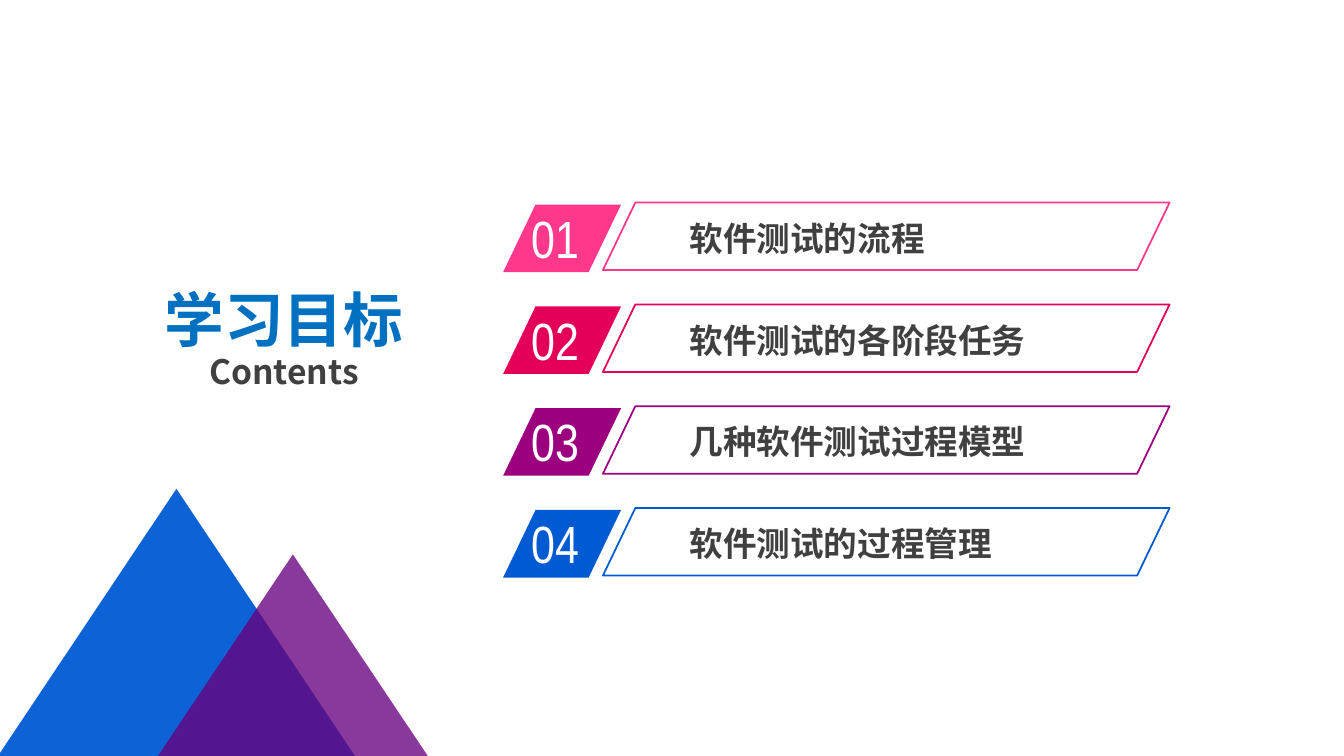
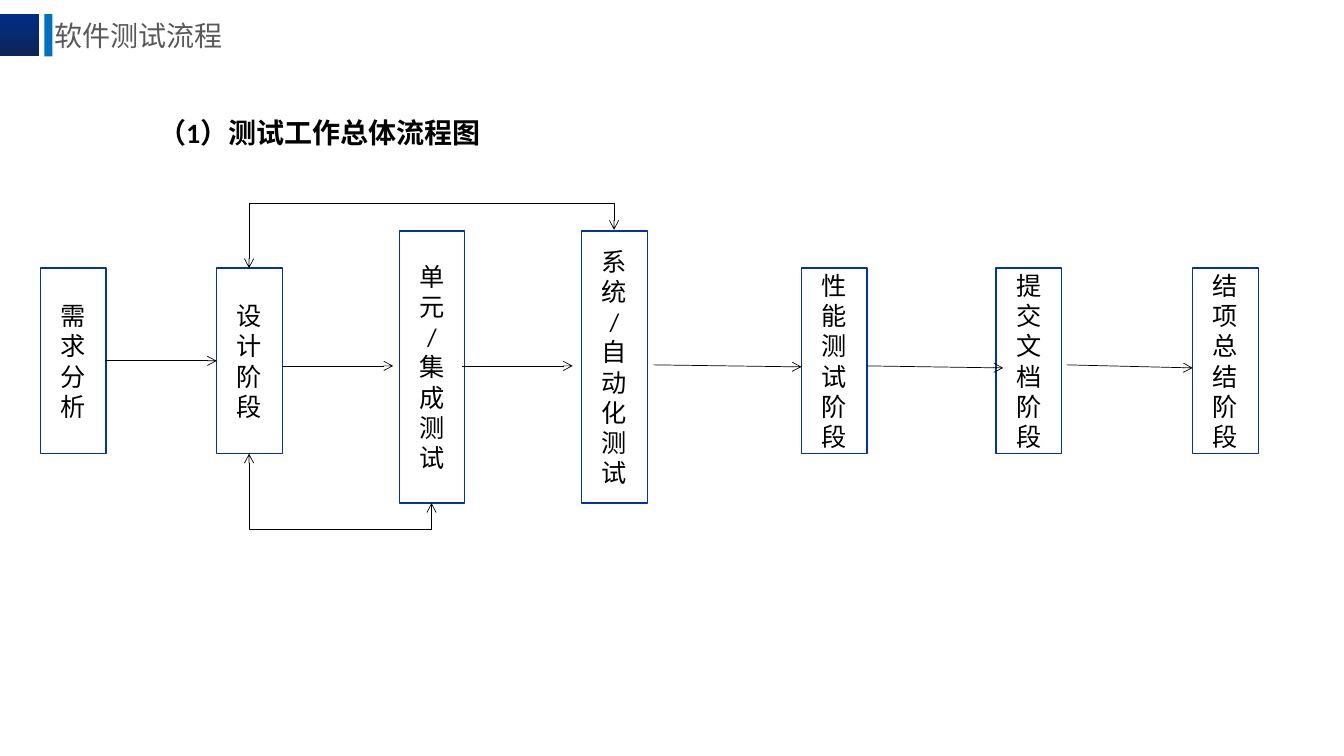
from lxml import etree
from pptx import Presentation
from pptx import util as u
from pptx.dml.color import RGBColor
from pptx.enum import shapes, text
from pptx.oxml.ns import qn


class Theme:
    cjk, latin, narrow = "Noto Sans CJK SC", "Calibri", "Arial Narrow"
    white, black, dark, grey = "FFFFFF", "000000", "404040", "595959"
    sky, blue, plum, edge = "0070C0", "005BD3", "68007F", "00349E"
    fade = ["012D86", "0E2557"]
    rows = ["FF388C", "E40059", "9C007F", blue]
    hero, digit, item, head, step = 42.6, 37.4, 24, 20, 18
    frame, rule, thin = 1.25, 1, 0.5


def write(frame, words, font=Theme.cjk, size=Theme.item, color=Theme.dark,
          bold=False, align="LEFT", gap=1.0):
    frame.word_wrap = True
    frame.auto_size = text.MSO_AUTO_SIZE.NONE
    frame.vertical_anchor = text.MSO_ANCHOR.MIDDLE
    frame.text = words
    for para in frame.paragraphs:
        para.alignment = text.PP_ALIGN[align]
        para.line_spacing = gap
        para.space_before = u.Pt(0)
        for run in para.runs:
            run.font.name = font
            run.font.size = u.Pt(size)
            run.font.bold = bold
            run.font.color.rgb = RGBColor.from_string(color)
            props = run._r.get_or_add_rPr()
            etree.SubElement(props, qn("a:ea"), typeface=font)


def draw(slide, kind, box, fill=None, line=None, width=Theme.rule, alpha=100):
    shape = slide.shapes.add_shape(shapes.MSO_SHAPE[kind], *map(u.Inches, box))
    shape.shadow.inherit = False
    if fill:
        shape.fill.solid()
        shape.fill.fore_color.rgb = RGBColor.from_string(fill)
    else:
        shape.fill.background()
    if alpha < 100:
        tint = shape._element.spPr.find(".//" + qn("a:srgbClr"))
        etree.SubElement(tint, qn("a:alpha"), val=str(alpha * 1000))
    if line:
        shape.line.color.rgb = RGBColor.from_string(line)
        shape.line.width = u.Pt(width)
    else:
        shape.line.fill.background()
    return shape


deck = Presentation()
deck.slide_width, deck.slide_height = u.Inches(13.33), u.Inches(7.5)
goals, flow = [deck.slides.add_slide(deck.slide_layouts[5]) for _ in range(2)]

titles = [
    (goals, (1.17, 3.03, 3.29, 0.72), "学习目标\nContents",
     dict(size=Theme.hero, color=Theme.sky, bold=True, align="CENTER", gap=0.9)),
    (flow, (0.44, 0.05, 3.26, 0.61), "软件测试流程",
     dict(size=Theme.head, color=Theme.grey)),
]
for slide, box, words, look in titles:
    title = slide.shapes.title
    title.left, title.top, title.width, title.height = map(u.Inches, box)
    write(title.text_frame, words, **look)

sub = goals.shapes.title.text_frame.paragraphs[1].runs[0].font
sub.size = u.Pt(Theme.item)
sub.color.rgb = RGBColor.from_string(Theme.dark)

items = ["软件测试的流程", "软件测试的各阶段任务", "几种软件测试过程模型", "软件测试的过程管理"]
for row, (words, color) in enumerate(zip(items, Theme.rows)):
    top = 2.03 + 1.01 * row
    tag = draw(goals, "PARALLELOGRAM", (4.99, top, 1.17, 0.67), fill=color)
    bar = draw(goals, "PARALLELOGRAM", (5.98, top - 0.02, 5.62, 0.67),
               line=color, width=Theme.frame)
    for shape in (tag, bar):
        shape.adjustments[0] = 0.48
    num = goals.shapes.add_textbox(*map(u.Inches, (5.17, top - 0.04, 1.12, 0.73)))
    write(num.text_frame, f"{row + 1:02}", font=Theme.narrow, size=Theme.digit,
          color=Theme.white)
    label = goals.shapes.add_textbox(*map(u.Inches, (6.74, top + 0.08, 4.12, 0.5)))
    write(label.text_frame, words, bold=True)

draw(goals, "ISOSCELES_TRIANGLE", (-0.14, 4.85, 3.78, 2.83), fill=Theme.blue, alpha=95)
draw(goals, "ISOSCELES_TRIANGLE", (1.48, 5.5, 2.85, 2.13), fill=Theme.plum, alpha=78)

block = draw(flow, "RECTANGLE", (-0.01, 0.14, 0.4, 0.42))
block.fill.gradient()
block.fill.gradient_angle = 270
for stop, color in zip(block.fill.gradient_stops, Theme.fade):
    stop.color.rgb = RGBColor.from_string(color)
draw(flow, "RECTANGLE", (0.44, 0.14, 0.08, 0.42), fill=Theme.sky)

head = flow.shapes.add_textbox(*map(u.Inches, (1.47, 1.09, 4.21, 0.44)))
write(head.text_frame, "（1）测试工作总体流程图", font=Theme.latin, size=Theme.head,
      color=Theme.black, bold=True)

short, tall = (2.66, 1.84), (2.29, 2.7)
steps = [
    (0.4, short, "需求分析"),
    (2.15, short, "设计阶段"),
    (3.96, tall, "单元\n/\n集成测试"),
    (5.77, tall, "系统\n/\n自动化测试"),
    (7.95, short, "性能测试\n阶段"),
    (9.88, short, "提交文档阶段"),
    (11.83, short, "结项总结阶段"),
]
for left, (top, high), words in steps:
    step = draw(flow, "RECTANGLE", (left, top, 0.65, high), fill=Theme.white,
                line=Theme.edge)
    write(step.text_frame, words, font=Theme.latin, size=Theme.step,
          color=Theme.black, align="CENTER")

links = [
    ((1.04, 3.58, 2.15, 3.58), 0, 0),
    ((2.8, 3.63, 3.9, 3.63), 0, 0),
    ((4.58, 3.63, 5.68, 3.63), 0, 0),
    ((6.48, 3.62, 7.95, 3.64), 0, 0),
    ((8.6, 3.63, 9.95, 3.65), 0, 0),
    ((10.58, 3.62, 11.83, 3.65), 0, 0),
    ((4.09, 0.66, 4.47, 4.28), 270, 1.68),
    ((3.13, 5.65, 3.62, 3.84), 90, 1.53),
]
for ends, turn, bend in links:
    kind = shapes.MSO_CONNECTOR.ELBOW if bend else shapes.MSO_CONNECTOR.STRAIGHT
    link = flow.shapes.add_connector(kind, *map(u.Inches, ends))
    link.line.color.rgb = RGBColor.from_string(Theme.black)
    link.line.width = u.Pt(Theme.thin)
    props = link._element.spPr
    if bend:
        props.find(qn("a:xfrm")).set("rot", str(turn * 60000))
        etree.SubElement(props.find(".//" + qn("a:avLst")), qn("a:gd"),
                         name="adj1", fmla=f"val {round(bend * 100000)}")
    for end in ("a:headEnd", "a:tailEnd") if bend else ("a:tailEnd",):
        etree.SubElement(props.find(qn("a:ln")), qn(end), type="arrow")
    etree.SubElement(props, qn("a:effectLst"))

deck.save("out.pptx")
